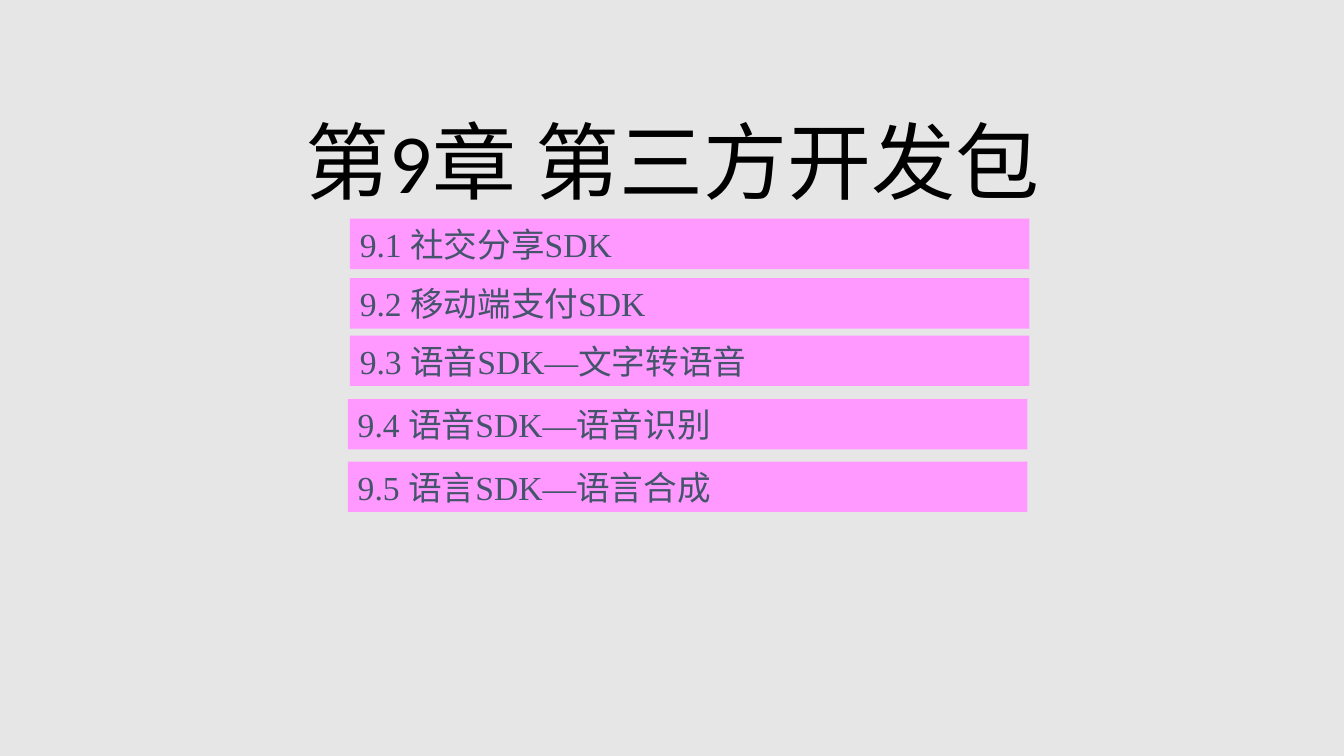
from pptx import Presentation
from pptx.dml.color import RGBColor
from pptx.enum import shapes, text
from pptx.util import Inches, Pt

BACKGROUND = RGBColor(0xE6, 0xE6, 0xE6)
BLACK = RGBColor(0x00, 0x00, 0x00)
PINK = RGBColor(0xFF, 0x99, 0xFF)
SLATE = RGBColor(0x44, 0x54, 0x6A)

SECTIONS = [
    (3.47, 2.17, "9.1 社交分享SDK"),
    (3.47, 2.76, "9.2 移动端支付SDK"),
    (3.47, 3.33, "9.3 语音SDK—文字转语音"),
    (3.45, 3.96, "9.4 语音SDK—语音识别"),
    (3.45, 4.58, "9.5 语言SDK—语言合成"),
]


def write(box, wording, font, size, color, align):
    frame = box.text_frame
    frame.word_wrap = True
    frame.vertical_anchor = text.MSO_ANCHOR.BOTTOM
    para = frame.paragraphs[0]
    para.alignment = align
    span = para.add_run()
    span.text = wording
    span.font.name = font
    span.font.size = Pt(size)
    span.font.color.rgb = color
    return para


deck = Presentation()
deck.slide_width = Inches(13.33)
deck.slide_height = Inches(7.5)
page = deck.slides.add_slide(deck.slide_layouts[0])
page.background.fill.solid()
page.background.fill.fore_color.rgb = BACKGROUND

subtitle = page.placeholders[1].element
subtitle.getparent().remove(subtitle)

title = page.shapes.title
title.left, title.top = Inches(1.67), Inches(1.02)
title.width, title.height = Inches(10), Inches(1.13)
title.text_frame.auto_size = text.MSO_AUTO_SIZE.NONE
heading = write(title, "第9章 第三方开发包", "Calibri", 60, BLACK, text.PP_ALIGN.CENTER)
heading.line_spacing = 0.9

for left, top, wording in SECTIONS:
    bar = page.shapes.add_shape(
        shapes.MSO_SHAPE.RECTANGLE, Inches(left), Inches(top), Inches(6.74), Inches(0.5)
    )
    bar.shadow.inherit = False
    bar.fill.solid()
    bar.fill.fore_color.rgb = PINK
    bar.line.fill.background()
    bar.text_frame.auto_size = text.MSO_AUTO_SIZE.SHAPE_TO_FIT_TEXT
    write(bar, wording, "Times New Roman", 24, SLATE, text.PP_ALIGN.LEFT)

deck.save("out.pptx")
